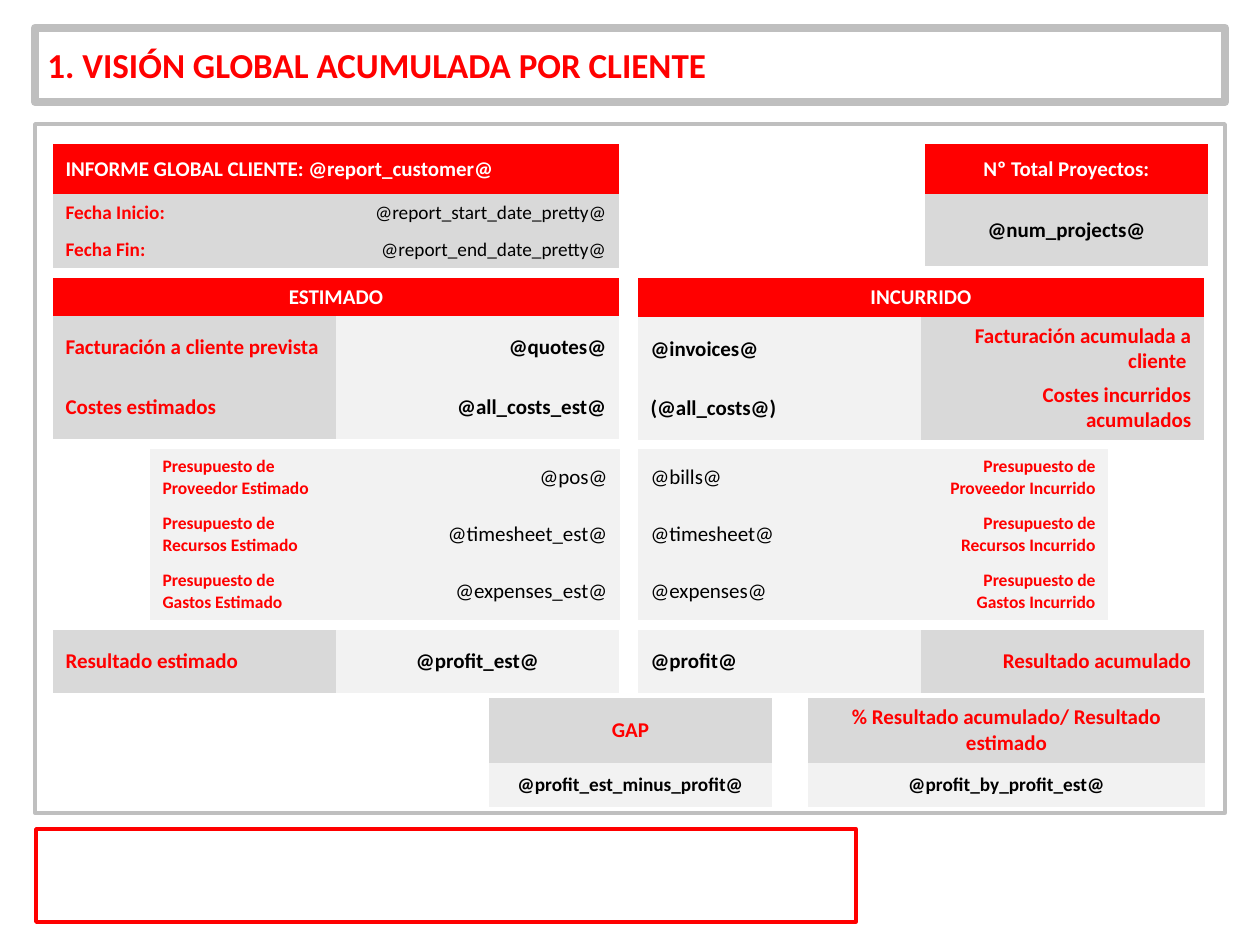
"""Build the slide with the accumulated overview per customer."""
from dataclasses import dataclass

from pptx import Presentation
from pptx.dml.color import RGBColor
from pptx.enum.shapes import MSO_SHAPE as Shape
from pptx.enum.text import MSO_ANCHOR as Anchor, PP_ALIGN as Align
from pptx.oxml.ns import qn
from pptx.slide import Slide
from pptx.util import Emu, Pt

EMU_PER_PX = 914400 / 126
FONT = "Calibri"
PLAIN_TABLE = "{2D5ABB26-0587-4C30-8999-92F81FD0307C}"
COLORS = {
    "red": "FF0000",
    "white": "FFFFFF",
    "black": "000000",
    "border": "BFBFBF",
    "grey": "D9D9D9",
    "pale": "F2F2F2",
}
LEFT, RIGHT = 53, 638
HALF, DETAIL = 283, 187


@dataclass(frozen=True)
class Frame:
    left: int
    top: int
    width: int
    height: int
    color: str
    weight: float
    title: str = ""


@dataclass(frozen=True)
class Entry:
    text: str
    color: str
    fill: str
    align: Align = Align.LEFT
    size: int = 12
    bold: bool = True


@dataclass(frozen=True)
class Block:
    left: int
    top: int
    columns: list[int]
    heights: list[int]
    rows: list[list[Entry]]


def px(length: int) -> Emu:
    return Emu(round(length * EMU_PER_PX))


def rgb(name: str) -> RGBColor:
    return RGBColor.from_string(COLORS[name])


def header(text: str, align: Align = Align.CENTER) -> Entry:
    return Entry(text, "white", "red", align)


def label(text: str, align: Align = Align.LEFT, size: int = 12) -> Entry:
    return Entry(text, "red", "grey", align, size)


def value(text: str, align: Align = Align.LEFT, size: int = 12) -> Entry:
    return Entry(text, "black", "pale", align, size)


def date_row(caption: str, date: str) -> list[Entry]:
    return [label(caption, size=11), Entry(date, "black", "grey", Align.RIGHT, 11, False)]


def detail_row(kind: str, state: str, amount: str) -> list[Entry]:
    estimated = state == "Estimado"
    sides = (Align.LEFT, Align.RIGHT) if estimated else (Align.RIGHT, Align.LEFT)
    budget = Entry(f"Presupuesto de {kind} {state}", "red", "pale", sides[0], 10)
    figure = Entry(amount, "black", "pale", sides[1], 12, False)
    return [budget, figure] if estimated else [figure, budget]


def result_block(left: int, width: int, caption: str, amount: str) -> Block:
    rows = [[label(caption, Align.CENTER)], [value(amount, Align.CENTER, 11)]]
    return Block(left, 698, [width], [65, 44], rows)


def style_paragraph(paragraph, color: str, align: Align, size: int, bold: bool) -> None:
    paragraph.alignment = align
    font = paragraph.font
    font.name, font.size, font.bold = FONT, Pt(size), bold
    font.color.rgb = rgb(color)


def draw_frame(slide: Slide, frame: Frame) -> None:
    box = slide.shapes.add_shape(
        Shape.RECTANGLE, px(frame.left), px(frame.top), px(frame.width), px(frame.height))
    box.shadow.inherit = False
    box.fill.background()
    box.line.color.rgb = rgb(frame.color)
    box.line.width = Pt(frame.weight)
    if frame.title:
        box.text_frame.text = frame.title
        box.text_frame.vertical_anchor = Anchor.MIDDLE
        style_paragraph(box.text_frame.paragraphs[0], "red", Align.LEFT, 20, True)


def draw_block(slide: Slide, block: Block) -> None:
    table = slide.shapes.add_table(
        len(block.heights), len(block.columns), px(block.left), px(block.top),
        px(sum(block.columns)), px(sum(block.heights))).table
    table.first_row = table.horz_banding = False
    table._tbl.tblPr.find(qn("a:tableStyleId")).text = PLAIN_TABLE
    for column, width in zip(table.columns, block.columns):
        column.width = px(width)
    for index, (height, entries) in enumerate(zip(block.heights, block.rows)):
        table.rows[index].height = px(height)
        if len(entries) < len(block.columns):
            table.cell(index, 0).merge(table.cell(index, len(block.columns) - 1))
        for position, entry in enumerate(entries):
            cell = table.cell(index, position)
            cell.text = entry.text
            cell.vertical_anchor = Anchor.MIDDLE
            cell.fill.solid()
            cell.fill.fore_color.rgb = rgb(entry.fill)
            style_paragraph(cell.text_frame.paragraphs[0],
                            entry.color, entry.align, entry.size, entry.bold)


FRAMES = [
    Frame(35, 28, 1190, 74, "border", 4.75, "1. VISIÓN GLOBAL ACUMULADA POR CLIENTE"),
    Frame(35, 124, 1190, 689, "border", 2),
    Frame(36, 829, 820, 93, "red", 2),
]

BLOCKS = [
    Block(LEFT, 144, [HALF, HALF], [50, 37, 37], [
        [header("INFORME GLOBAL CLIENTE: @report_customer@", Align.LEFT)],
        date_row("Fecha Inicio:", "@report_start_date_pretty@"),
        date_row("Fecha Fin:", "@report_end_date_pretty@")]),
    Block(925, 144, [HALF], [50, 72], [
        [header("Nº Total Proyectos:")],
        [Entry("@num_projects@", "black", "grey", Align.CENTER)]]),
    Block(LEFT, 278, [HALF, HALF], [38, 63], [
        [header("ESTIMADO")],
        [label("Facturación a cliente prevista"), value("@quotes@", Align.RIGHT)]]),
    Block(RIGHT, 278, [HALF, HALF], [39, 64], [
        [header("INCURRIDO")],
        [value("@invoices@"), label("Facturación acumulada a cliente ", Align.RIGHT)]]),
    Block(LEFT, 376, [HALF, HALF], [63], [
        [label("Costes estimados"), value("@all_costs_est@", Align.RIGHT)]]),
    Block(RIGHT, 376, [HALF, HALF], [64], [
        [value("(@all_costs@)"), label("Costes incurridos acumulados", Align.RIGHT)]]),
    Block(LEFT + 97, 449, [DETAIL, HALF], [57] * 3, [
        detail_row("Proveedor", "Estimado", "@pos@"),
        detail_row("Recursos", "Estimado", "@timesheet_est@"),
        detail_row("Gastos", "Estimado", "@expenses_est@")]),
    Block(RIGHT, 449, [HALF, DETAIL], [57] * 3, [
        detail_row("Proveedor", "Incurrido", "@bills@"),
        detail_row("Recursos", "Incurrido", "@timesheet@"),
        detail_row("Gastos", "Incurrido", "@expenses@")]),
    Block(LEFT, 630, [HALF, HALF], [63], [
        [label("Resultado estimado"), value("@profit_est@", Align.CENTER)]]),
    Block(RIGHT, 630, [HALF, HALF], [63], [
        [value("@profit@"), label("Resultado acumulado", Align.RIGHT)]]),
    result_block(489, HALF, "GAP", "@profit_est_minus_profit@"),
    result_block(808, 397, "% Resultado acumulado/ Resultado estimado",
                 "@profit_by_profit_est@"),
]


def main() -> None:
    deck = Presentation()
    deck.slide_width, deck.slide_height = px(1260), px(945)
    slide = deck.slides.add_slide(deck.slide_layouts[6])
    for frame in FRAMES:
        draw_frame(slide, frame)
    for block in BLOCKS:
        draw_block(slide, block)
    deck.save("out.pptx")


if __name__ == "__main__":
    main()
